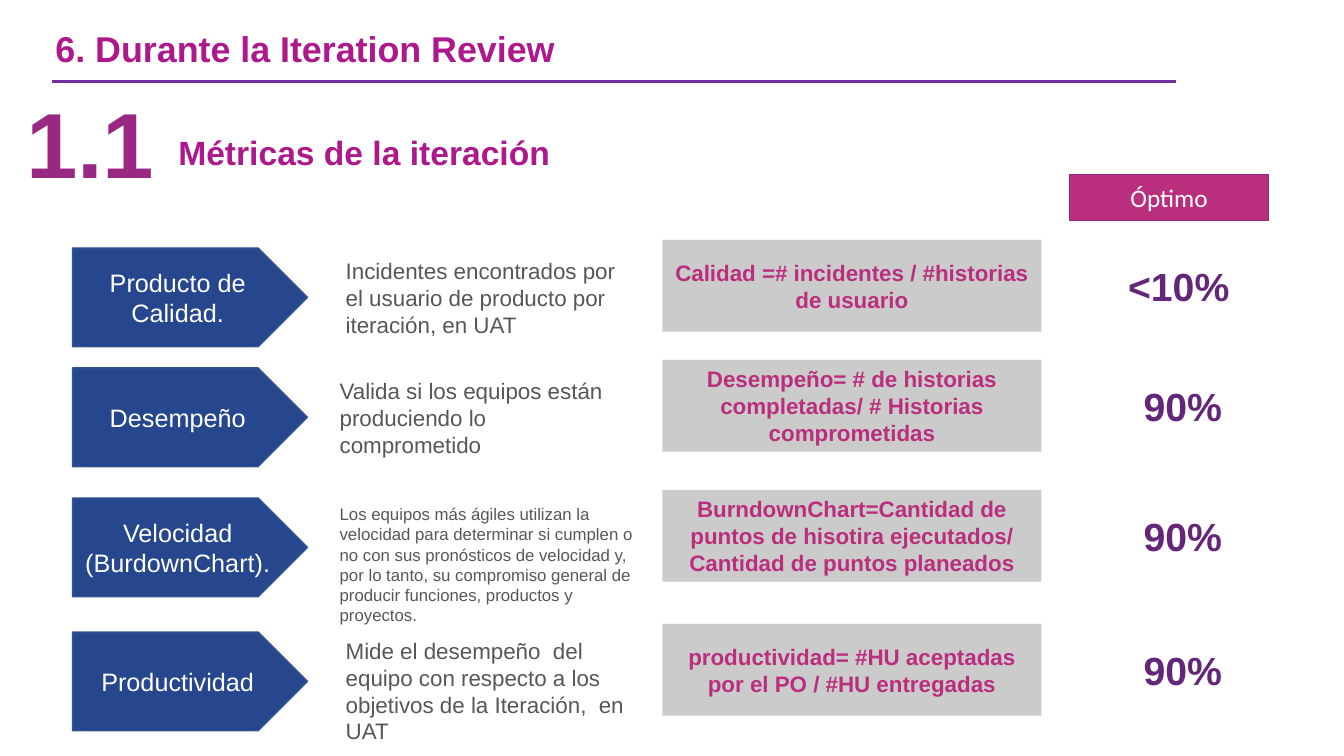
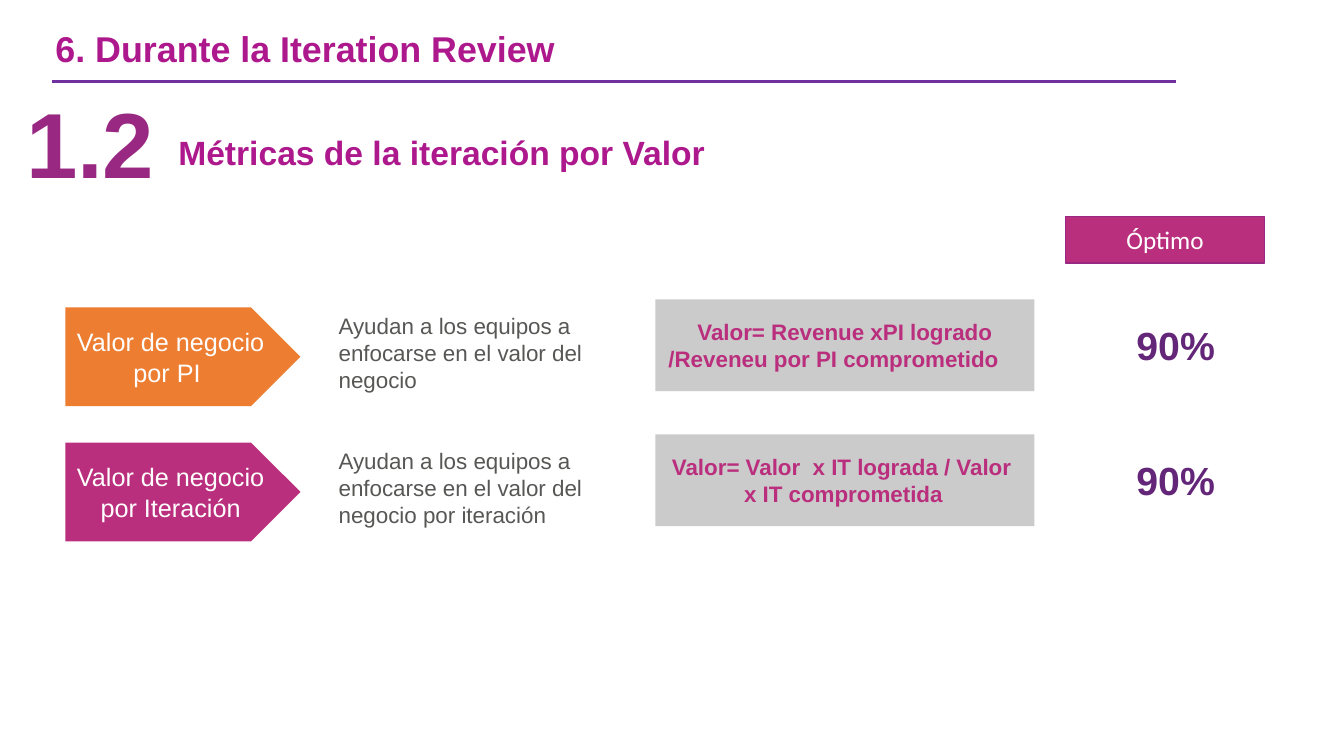
import pptx
import pptx.dml.color
import pptx.enum.shapes
import pptx.enum.text
import pptx.oxml
import pptx.oxml.ns
import pptx.util
from pptx.util import Inches

COLORS = {
    "title": "AD198D", "rule": "7030A0", "number": "982881",
    "magenta": "BA2F7D", "blue": "26478D", "blue_edge": "325491",
    "orange": "ED7D31", "gray": "BFBFBF", "body": "575756",
    "value": "632678", "white": "FFFFFF",
}
SHAPE = pptx.enum.shapes.MSO_SHAPE
ALIGN = pptx.enum.text.PP_ALIGN
ANCHOR = pptx.enum.text.MSO_ANCHOR
AUTO = pptx.enum.text.MSO_AUTO_SIZE
NAMESPACE = pptx.oxml.ns.nsdecls("a")


def write(box, text, size, color, bold=False, align=ALIGN.CENTER,
          anchor=ANCHOR.MIDDLE, font="Arial", grow=False, wrap=True):
    frame = box.text_frame
    frame.word_wrap = wrap
    frame.auto_size = AUTO.SHAPE_TO_FIT_TEXT if grow else AUTO.NONE
    frame.vertical_anchor = anchor
    para = frame.paragraphs[0]
    para.alignment = align
    span = para.add_run()
    span.text = text
    span.font.name = font
    span.font.size = pptx.util.Pt(size)
    span.font.bold = bold
    span.font.color.rgb = pptx.dml.color.RGBColor.from_string(COLORS[color])
    return para


def add_block(page, kind, left, top, width, height, fill, edge=None):
    block = page.shapes.add_shape(kind, Inches(left), Inches(top),
                                  Inches(width), Inches(height))
    block.shadow.inherit = False
    block.fill.solid()
    block.fill.fore_color.rgb = pptx.dml.color.RGBColor.from_string(COLORS[fill])
    if edge:
        block.line.color.rgb = pptx.dml.color.RGBColor.from_string(COLORS[edge])
        block.line.width = pptx.util.Pt(1)
    else:
        block.line.fill.background()
    return block


# Each row: top, arrow fill, arrow edge, name,
# description (left, top offset, width, size, text), formula, optimum, its alignment
SLIDES = [
    {
        "number": "1.1", "heading": "Métricas de la iteración",
        "left": 0.72, "optimum": (10.61, 1.73),
        "rows": [
            (2.46, "blue", "blue_edge", "Producto de Calidad.",
             (3.33, 0.04, 3.08, 16, "Incidentes encontrados por el usuario de producto por iteración, en UAT"),
             "Calidad =# incidentes / #historias de usuario", "<10%", ALIGN.LEFT),
            (3.65, "blue", "blue_edge", "Desempeño",
             (3.27, 0.04, 3.08, 16, "Valida si los equipos están produciendo lo comprometido"),
             "Desempeño= # de historias completadas/ # Historias comprometidas", "90%", ALIGN.CENTER),
            (4.94, "blue", "blue_edge", "Velocidad (BurdownChart).",
             (3.27, 0.01, 3.19, 12, "Los equipos más ágiles utilizan la velocidad para determinar si "
              "cumplen o no con sus pronósticos de velocidad y, por lo tanto, su compromiso general "
              "de producir funciones, productos y proyectos."),
             "BurndownChart=Cantidad de puntos de hisotira ejecutados/ Cantidad de puntos planeados",
             "90%", ALIGN.CENTER),
            (6.27, "blue", "blue_edge", "Productividad",
             (3.33, 0, 3.19, 16, "Mide el desempeño  del equipo con respecto a los objetivos "
              "de la Iteración,  en UAT"),
             "productividad= #HU aceptadas por el PO / #HU entregadas", "90%", ALIGN.CENTER),
        ],
    },
    {
        "number": "1.2", "heading": "Métricas de la iteración por Valor",
        "left": 0.65, "optimum": (10.57, 2.15),
        "rows": [
            (3.05, "orange", None, "Valor de negocio por PI ",
             (3.26, 0, 3.19, 16, "Ayudan a los equipos a enfocarse en el valor del negocio"),
             "Valor= Revenue xPI logrado /Reveneu por PI comprometido\t", "90%", ALIGN.CENTER),
            (4.39, "magenta", None, "Valor de negocio por Iteración",
             (3.26, 0, 3.19, 16, "Ayudan a los equipos a enfocarse en el valor del negocio por iteración"),
             "Valor= Valor  x IT lograda / Valor  x IT comprometida\t", "90%", ALIGN.CENTER),
        ],
    },
]

deck = pptx.Presentation()
deck.slide_width = Inches(13.33)
deck.slide_height = Inches(7.5)

for content in SLIDES:
    page = deck.slides.add_slide(deck.slide_layouts[5])

    # Title and rule
    title = page.shapes.title
    title.left, title.top = Inches(0.45), Inches(0.2)
    title.width, title.height = Inches(10.33), Inches(0.61)
    para = write(title, "6. Durante la Iteration Review", 25.6, "title", True, ALIGN.LEFT)
    para.line_spacing = 0.9
    rule = page.shapes.add_connector(pptx.enum.shapes.MSO_CONNECTOR.STRAIGHT,
                                     Inches(0.52), Inches(0.81), Inches(11.66), Inches(0.81))
    rule.line.color.rgb = pptx.dml.color.RGBColor.from_string(COLORS["rule"])
    rule.line.width = pptx.util.Pt(2.25)
    rule._element.spPr.append(pptx.oxml.parse_xml(f"<a:effectLst {NAMESPACE}/>"))

    # Section number and heading
    section = page.shapes.add_group_shape()
    number = section.shapes.add_textbox(Inches(0.15), Inches(0.81), Inches(1.49), Inches(1.21))
    write(number, content["number"], 66, "number", True, anchor=ANCHOR.TOP, grow=True, wrap=False)
    heading = section.shapes.add_textbox(Inches(1.67), Inches(1.26), Inches(7.3), Inches(0.5))
    write(heading, content["heading"], 24, "title", True, ALIGN.LEFT)

    # Optimum column header
    header = add_block(page, SHAPE.RECTANGLE, *content["optimum"], 1.97, 0.46, "magenta", "number")
    write(header, "Óptimo", 18, "white", font="Calibri")

    # Metric rows
    left = content["left"]
    for top, fill, edge, name, description, formula, optimum, align in content["rows"]:
        arrow = add_block(page, SHAPE.PENTAGON, left, top, 2.33, 0.98, fill, edge)
        write(arrow, name, 18, "white")

        text_left, offset, width, size, text = description
        box = page.shapes.add_textbox(Inches(text_left), Inches(top + offset),
                                      Inches(width), Inches(0.91))
        write(box, text, size, "body", align=ALIGN.LEFT, anchor=ANCHOR.TOP, grow=True)

        panel = add_block(page, SHAPE.RECTANGLE, left + 5.85, top - 0.08, 3.76, 0.91, "gray")
        fill_color = panel._element.spPr.find(".//" + pptx.oxml.ns.qn("a:srgbClr"))
        fill_color.append(pptx.oxml.parse_xml(f'<a:alpha {NAMESPACE} val="80000"/>'))
        frame = panel.text_frame
        frame.margin_left = frame.margin_right = Inches(0.08)
        frame.margin_top = frame.margin_bottom = Inches(0.04)
        write(panel, formula, 16, "magenta", True)

        value = page.shapes.add_textbox(Inches(left + 10.37), Inches(top + 0.09),
                                        Inches(1.28), Inches(0.57))
        write(value, optimum, 28, "value", True, align, ANCHOR.TOP, grow=True)

deck.save("out.pptx")
